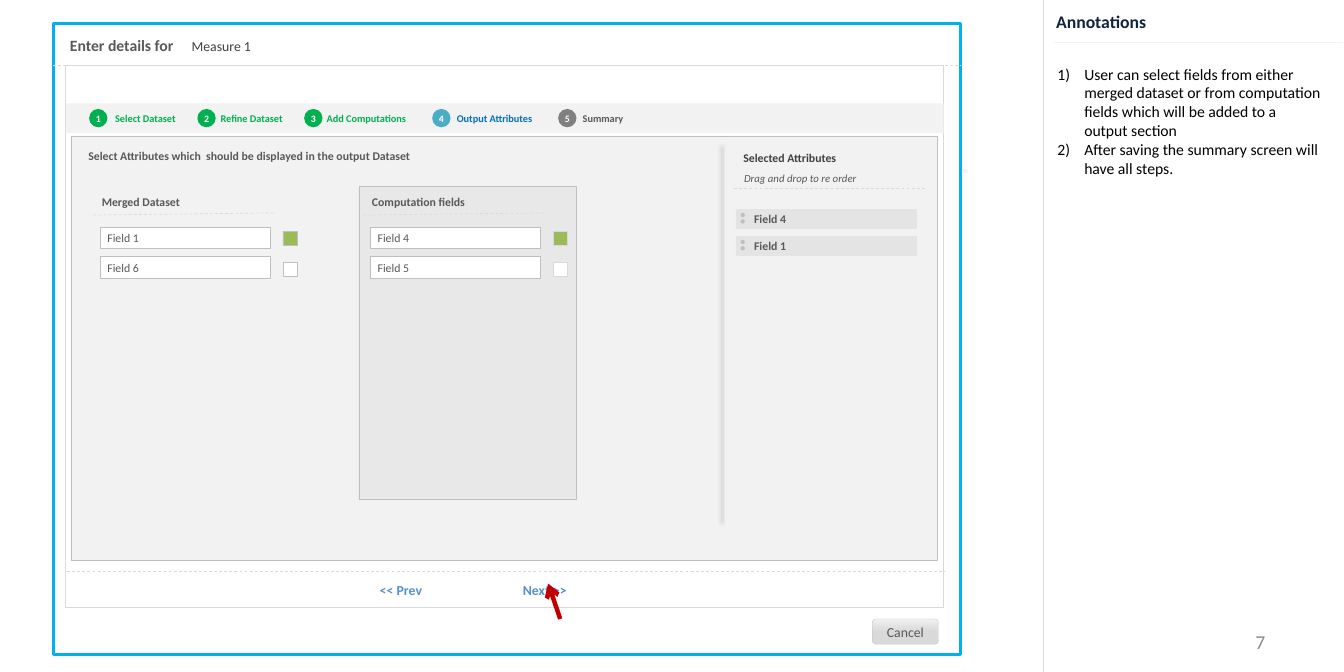
from dataclasses import dataclass

from lxml.etree import SubElement
from pptx import Presentation
from pptx.dml.color import RGBColor
from pptx.enum.dml import MSO_LINE
from pptx.enum.shapes import MSO_CONNECTOR, MSO_SHAPE
from pptx.enum.text import MSO_ANCHOR, MSO_AUTO_SIZE, PP_ALIGN
from pptx.oxml.ns import qn
from pptx.util import Inches, Pt


@dataclass(frozen=True)
class Theme:
    font: str = "Calibri"
    white: str = "FFFFFF"
    black: str = "000000"
    navy: str = "0F243E"
    dark: str = "404040"
    body: str = "595959"
    muted: str = "808080"
    number: str = "8C8C8C"
    edge: str = "BFBFBF"
    rule: str = "D9D9D9"
    panel: str = "F2F2F2"
    frame: str = "00B0F0"
    done: str = "00B050"
    current: str = "4BACC6"
    current_text: str = "0070C0"
    link: str = "558ED5"
    checked: str = "9BBB59"
    pointer: str = "C00000"
    badge_size: float = 10
    step_size: float = 10.5
    hint_size: float = 11
    label_size: float = 12
    action_size: float = 14
    heading_size: float = 16
    title_size: float = 18
    page_size: float = 20


T = Theme()


def write(shape, text, size, color, bold=False, italic=False, align=PP_ALIGN.LEFT,
          anchor=MSO_ANCHOR.TOP, insets=(0.1, 0.05), wrap=True):
    frame = shape.text_frame
    frame.text = text
    frame.word_wrap = wrap
    frame.auto_size = MSO_AUTO_SIZE.NONE
    frame.vertical_anchor = anchor
    frame.margin_left = frame.margin_right = Inches(insets[0])
    frame.margin_top = frame.margin_bottom = Inches(insets[1])
    for paragraph in frame.paragraphs:
        paragraph.alignment = align
        for run in paragraph.runs:
            font = run.font
            font.name, font.size, font.bold, font.italic = T.font, Pt(size), bold, italic
            font.color.rgb = RGBColor.from_string(color)
    return shape


def label(shapes, box, text, size, color, **style):
    return write(shapes.add_textbox(*map(Inches, box)), text, size, color, **style)


def block(shapes, box, fill, edge=None, width=0.25, opacity=100, preset=MSO_SHAPE.RECTANGLE):
    shape = shapes.add_shape(preset, *map(Inches, box))
    shape.shadow.inherit = False
    shape.fill.solid()
    shape.fill.fore_color.rgb = RGBColor.from_string(fill)
    if opacity < 100:
        tint = shape._element.spPr.find(qn("a:solidFill"))[0]
        SubElement(tint, qn("a:alpha"), val=str(opacity * 1000))
    if edge:
        shape.line.color.rgb = RGBColor.from_string(edge)
        shape.line.width = Pt(width)
    else:
        shape.line.fill.background()
    return shape


def line(shapes, start, end, color=T.rule, width=0.75, dashed=False, arrow=False, shadow_angle=None):
    connector = shapes.add_connector(MSO_CONNECTOR.STRAIGHT, *map(Inches, start + end))
    connector.line.color.rgb = RGBColor.from_string(color)
    connector.line.width = Pt(width)
    if dashed:
        connector.line.dash_style = MSO_LINE.DASH
    if arrow:
        SubElement(connector.line._get_or_add_ln(), qn("a:tailEnd"), type="arrow")
    effects = SubElement(connector._element.spPr, qn("a:effectLst"))
    if shadow_angle is not None:
        shadow = SubElement(effects, qn("a:outerShdw"), blurRad=str(Pt(4)), dist=str(Pt(3)),
                            dir=str(shadow_angle * 60000), algn="ctr", rotWithShape="0")
        tint = SubElement(shadow, qn("a:srgbClr"), val=T.black)
        SubElement(tint, qn("a:alpha"), val="40000")


def annotations(slide, left, height):
    shapes = slide.shapes
    line(shapes, (left, 0), (left, height), shadow_angle=0)
    title = shapes.title
    title.left, title.top, title.width, title.height = map(Inches, (left + 0.06, 0.09, 1.53, 0.43))
    write(title, "Annotations", T.title_size, T.navy, bold=True, insets=(0.12, 0.06), wrap=False)
    line(shapes, (left + 0.15, 0.6), (left + 4.23, 0.6), T.panel)
    notes = label(shapes, (left + 0.1, 0.86, 3.92, 1.72),
                  "User can select fields from either merged dataset or from computation "
                  "fields which will be added to a output section\n"
                  "After saving the summary screen will have all steps.",
                  T.heading_size, T.black)
    for paragraph in notes.text_frame.paragraphs:
        properties = paragraph._p.get_or_add_pPr()
        properties.set("marL", str(Inches(0.38)))
        properties.set("indent", str(Inches(-0.38)))
        SubElement(properties, qn("a:buFont"), typeface="+mj-lt")
        SubElement(properties, qn("a:buAutoNum"), type="arabicParenR")
    label(shapes, (left + 0.17, 8.81, 3.13, 0.51), "7", T.page_size, T.number,
          align=PP_ALIGN.RIGHT, anchor=MSO_ANCHOR.MIDDLE, insets=(0.16, 0.08))


def dialog(slide, left, top, width, height):
    shapes = slide.shapes
    block(shapes, (left + 12.07, top + 2.06, 0.86, 0.05), T.panel)
    block(shapes, (left, top, width, height), T.white, T.frame, 3)
    block(shapes, (left + 0.17, top + 0.59, 12.42, 7.67), T.white, T.rule)
    line(shapes, (left, top + 0.59), (left + width, top + 0.59), dashed=True)
    line(shapes, (left + 0.2, top + 7.75), (left + 12.6, top + 7.75), dashed=True)
    heading = shapes.add_group_shape().shapes
    label(heading, (left + 0.14, top + 0.13, 1.78, 0.37), "Enter details for",
          T.heading_size, T.body, bold=True)
    label(heading, (left + 1.86, top + 0.16, 1.06, 0.34), "Measure 1", T.action_size, T.dark)


def step_bar(slide, left, top, width, height):
    block(slide.shapes, (left, top, width, height), T.panel)
    steps = [
        (0.32, 0.59, "Select Dataset", T.done, T.done),
        (1.85, 2.08, "Refine Dataset", T.done, T.done),
        (3.36, 3.58, "Add Computations", T.done, T.done),
        (5.17, 5.42, "Output Attributes", T.current, T.current_text),
        (6.95, 7.2, "Summary", T.muted, T.body),
    ]
    for number, (badge_x, name_x, name, badge_color, name_color) in enumerate(steps, 1):
        badge = block(slide.shapes, (left + badge_x, top + 0.08, 0.26, 0.26), badge_color,
                      preset=MSO_SHAPE.OVAL)
        write(badge, str(number), T.badge_size, T.white, bold=True, align=PP_ALIGN.CENTER,
              anchor=MSO_ANCHOR.MIDDLE, insets=(0, 0))
        label(slide.shapes, (left + name_x, top + 0.07, 1.36, 0.28), name, T.step_size,
              name_color, bold=True)


def field_column(slide, left, top, name, fields, check_edge, boxed=False):
    shapes = slide.shapes.add_group_shape().shapes
    if boxed:
        block(shapes, (left, top, 3.08, 4.42), T.rule, T.edge, opacity=40)
    label(shapes, (left + 0.09, top + 0.08, 2.25, 0.3), name, T.label_size, T.body, bold=True)
    line(shapes, (left + 0.07, top + 0.41), (left + 2.65, top + 0.38), dashed=True)
    for row, (field, check_color) in enumerate(fields):
        entry = block(shapes, (left + 0.17, top + 0.58 + row * 0.42, 2.4, 0.3),
                      T.white, T.edge, 0.75)
        write(entry, field, T.label_size, T.body)
        block(shapes, (left + 2.75, top + 0.64 + row * 0.44, 0.2, 0.2), check_color, check_edge)


def selected_attributes(slide, left, top):
    shapes = slide.shapes
    line(shapes, (left - 0.09, top + 0.06), (left - 0.09, top + 5.4), T.panel, shadow_angle=180)
    block(shapes, (left, top, 2.83, 4.42), T.panel, T.panel, opacity=40)
    label(shapes, (left + 0.07, top + 0.08, 2.25, 0.3), "Selected Attributes",
          T.label_size, T.dark, bold=True)
    label(shapes, (left + 0.08, top + 0.38, 1.83, 0.29), "Drag and drop to re order",
          T.hint_size, T.body, italic=True)
    line(shapes, (left + 0.04, top + 0.67), (left + 2.74, top + 0.67), dashed=True)
    rows = shapes.add_group_shape().shapes
    for row, field in enumerate(("Field 4", "Field 1")):
        row_top = top + 0.95 + row * 0.38
        entry = block(rows, (left + 0.05, row_top, 2.58, 0.3), T.rule, T.panel, 0.75, opacity=54)
        write(entry, field, T.label_size, T.body, bold=True, insets=(0.27, 0.05))
        for grip in (0.06, 0.15):
            block(rows, (left + 0.13, row_top + grip, 0.06, 0.06), T.edge, preset=MSO_SHAPE.OVAL)


def output_panel(slide, left, top, width, height):
    block(slide.shapes, (left, top, width, height), T.panel, T.edge)
    label(slide.shapes, (left + 0.15, top + 0.14, 4.94, 0.3),
          "Select Attributes which  should be displayed in the output Dataset",
          T.label_size, T.body, bold=True)
    field_column(slide, left + 0.25, top + 0.71, "Merged Dataset",
                 [("Field 1", T.checked), ("Field 6", T.white)], T.edge)
    field_column(slide, left + 4.07, top + 0.71, "Computation fields",
                 [("Field 4", T.checked), ("Field 5", T.white)], T.rule, boxed=True)
    selected_attributes(slide, left + 9.34, top + 0.08)


def footer(slide, left, top):
    shapes = slide.shapes
    label(shapes, (left, top, 1.07, 0.33), "<< Prev", T.action_size, T.link, bold=True)
    label(shapes, (left + 1.73, top, 1.11, 0.33), "Next >>", T.action_size, T.link,
          bold=True, align=PP_ALIGN.RIGHT)
    cancel = block(shapes, (left + 7.06, top + 0.58, 0.94, 0.36), T.rule, T.edge,
                   preset=MSO_SHAPE.ROUNDED_RECTANGLE)
    cancel.fill.gradient()
    cancel.fill.gradient_angle = 90
    for stop, position, color in zip(cancel.fill.gradient_stops, (0.5, 1), (T.rule, T.panel)):
        stop.position = position
        stop.color.rgb = RGBColor.from_string(color)
    write(cancel, "Cancel", T.action_size, T.body, align=PP_ALIGN.CENTER,
          anchor=MSO_ANCHOR.MIDDLE, insets=(0.1, 0.05), wrap=False)
    line(shapes, (left + 2.65, top + 0.58), (left + 2.48, top + 0.08), T.pointer, 4.5, arrow=True)


deck = Presentation()
deck.slide_width, deck.slide_height = Inches(19), Inches(9.5)
slide = deck.slides.add_slide(deck.slide_layouts[5])
annotations(slide, 14.75, 9.5)
dialog(slide, 0.75, 0.33, 12.83, 8.92)
step_bar(slide, 0.94, 1.46, 12.4, 0.42)
output_panel(slide, 1, 1.92, 12.25, 6)
footer(slide, 5.27, 8.17)
deck.save("out.pptx")
